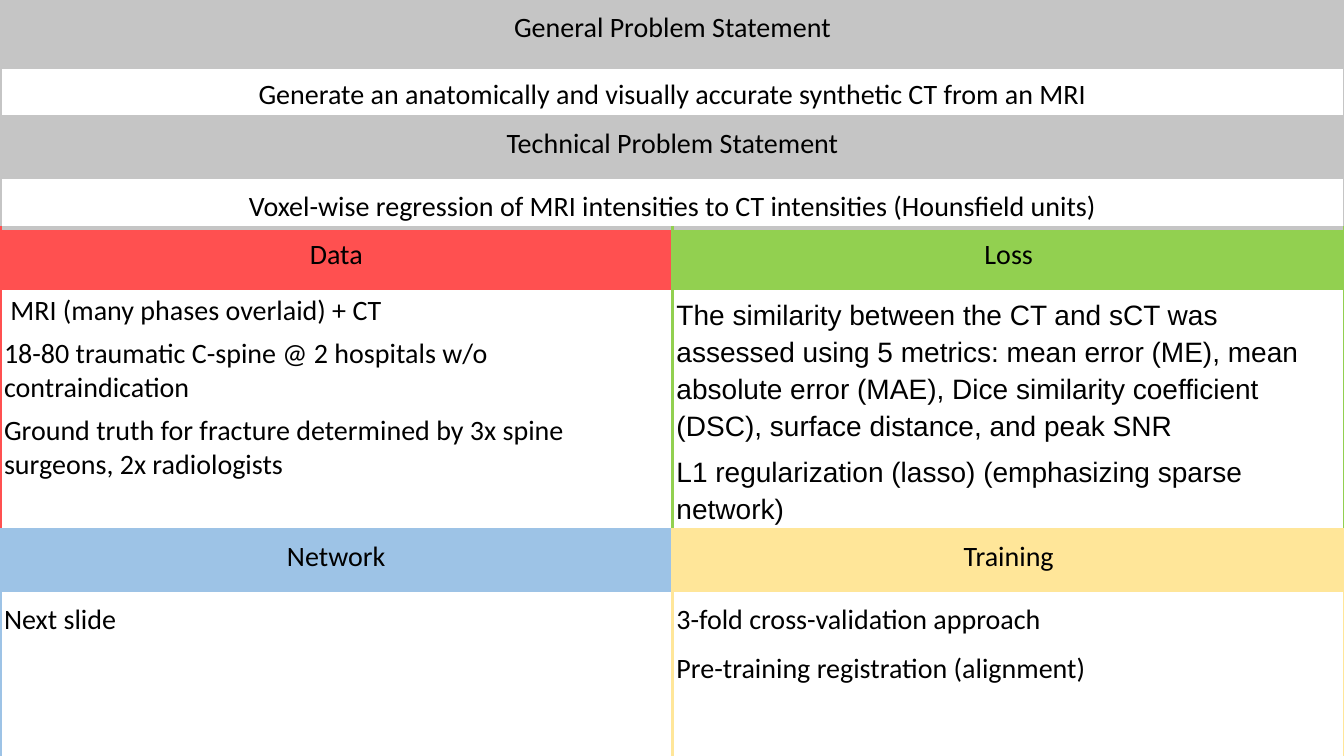
"""Build a slide summarising the problem, data, loss, network and training of a synthetic CT study."""
from lxml.etree import SubElement
from pptx import Presentation
from pptx.dml.color import RGBColor
from pptx.enum.text import PP_ALIGN
from pptx.oxml.ns import qn
from pptx.util import Inches, Pt

COLORS = {
    "text": "000000",
    "problem": "C5C5C5",
    "data": "FF5050",
    "loss": "92D050",
    "network": "9DC3E6",
    "training": "FFE699",
}
ROW_HEIGHTS = [0.67, 0.16, 0.62, 0.28, 0.62, 1.88, 0.62, 1.88]
COLUMN_WIDTH = 6.67
CELL_MARGIN = 0.04
LINE_SPACING = 1.19
STATEMENTS = [
    ("General Problem Statement",
     "Generate an anatomically and visually accurate synthetic CT from an MRI", "LRTB", "LRTB"),
    ("Technical Problem Statement",
     "Voxel-wise regression of MRI intensities to CT intensities (Hounsfield units)", "LRT", "LRB"),
]
DATA_POINTS = [
    " MRI (many phases overlaid) + CT",
    "18-80 traumatic C-spine @ 2 hospitals w/o contraindication",
    "Ground truth for fracture determined by 3x spine surgeons, 2x radiologists",
]
LOSS_POINTS = [
    "The similarity between the CT and sCT was assessed using 5 metrics: mean error (ME), "
    "mean absolute error (MAE), Dice similarity coefficient (DSC), surface distance, and peak SNR",
    "L1 regularization (lasso) (emphasizing sparse network)",
]
TRAINING_POINTS = ["3-fold cross-validation approach", "Pre-training registration (alignment)"]


def set_borders(cell, edges):
    """Draw the named edges in their colours and hide the others."""
    properties = cell._tc.get_or_add_tcPr()
    for position, side in enumerate("LRTB"):
        border = SubElement(properties, qn(f"a:ln{side}"), w=str(Pt(3)))
        if side in edges:
            solid = SubElement(border, qn("a:solidFill"))
            SubElement(solid, qn("a:srgbClr"), val=COLORS[edges[side]])
        else:
            SubElement(border, qn("a:noFill"))
        properties.insert(position, border)


def style_cell(cell, edges, fill=None):
    """Set the margins, fill and borders of a cell."""
    cell.margin_left = cell.margin_right = Inches(CELL_MARGIN)
    cell.margin_top = cell.margin_bottom = Inches(CELL_MARGIN)
    if fill:
        cell.fill.solid()
        cell.fill.fore_color.rgb = RGBColor.from_string(COLORS[fill])
    else:
        cell.fill.background()
    set_borders(cell, edges)


def write_points(cell, points, align=PP_ALIGN.LEFT, font="Calibri", spacing=LINE_SPACING):
    """Write one paragraph for each point."""
    frame = cell.text_frame
    for index, point in enumerate(points):
        paragraph = frame.add_paragraph() if index else frame.paragraphs[0]
        paragraph.alignment = align
        paragraph.line_spacing = spacing
        if index:
            paragraph.space_before = Pt(6)
        run = paragraph.add_run()
        run.text = point
        run.font.name = font
        run.font.size = Pt(20)
        run.font.color.rgb = RGBColor.from_string(COLORS["text"])


def add_statement_row(table, row, statement, sides, fill=None):
    """Fill a row that spans both columns."""
    left, right = table.cell(row, 0), table.cell(row, 1)
    left.merge(right)
    for cell in (left, right):
        style_cell(cell, dict.fromkeys(sides, "problem"), fill)
    write_points(left, [statement], PP_ALIGN.CENTER)


def add_topic(table, row, column, topic, points, right, above, below, **text_style):
    """Fill a coloured heading cell and the cell of points under it."""
    color = topic.lower()
    heading, body = table.cell(row, column), table.cell(row + 1, column)
    style_cell(heading, {"L": color, "R": right, "T": above}, color)
    write_points(heading, [topic], PP_ALIGN.CENTER)
    style_cell(body, {"L": color, "R": right, "B": below})
    write_points(body, points, **text_style)


def add_summary_table(slide):
    """Add the empty table and return it."""
    frame = slide.shapes.add_table(len(ROW_HEIGHTS), 2, Inches(0), Inches(0),
                                   Inches(2 * COLUMN_WIDTH), Inches(sum(ROW_HEIGHTS)))
    table = frame.table
    table.first_row = table.horz_banding = False
    for column in table.columns:
        column.width = Inches(COLUMN_WIDTH)
    for row, height in zip(table.rows, ROW_HEIGHTS):
        row.height = Inches(height)
    return table


def main():
    """Build and save the slide."""
    presentation = Presentation()
    presentation.slide_width, presentation.slide_height = Inches(13.33), Inches(7.5)
    slide = presentation.slides.add_slide(presentation.slide_layouts[6])
    table = add_summary_table(slide)
    for index, (heading, statement, heading_sides, statement_sides) in enumerate(STATEMENTS):
        add_statement_row(table, 2 * index, heading, heading_sides, "problem")
        add_statement_row(table, 2 * index + 1, statement, statement_sides)
    add_topic(table, 4, 0, "Data", DATA_POINTS, "loss", "problem", "network", spacing=1.0)
    add_topic(table, 4, 1, "Loss", LOSS_POINTS, "loss", "problem", "training", font="Arial")
    add_topic(table, 6, 0, "Network", ["Next slide"], "training", "network", "network")
    add_topic(table, 6, 1, "Training", TRAINING_POINTS, "training", "training", "training")
    presentation.save("out.pptx")


if __name__ == "__main__":
    main()
